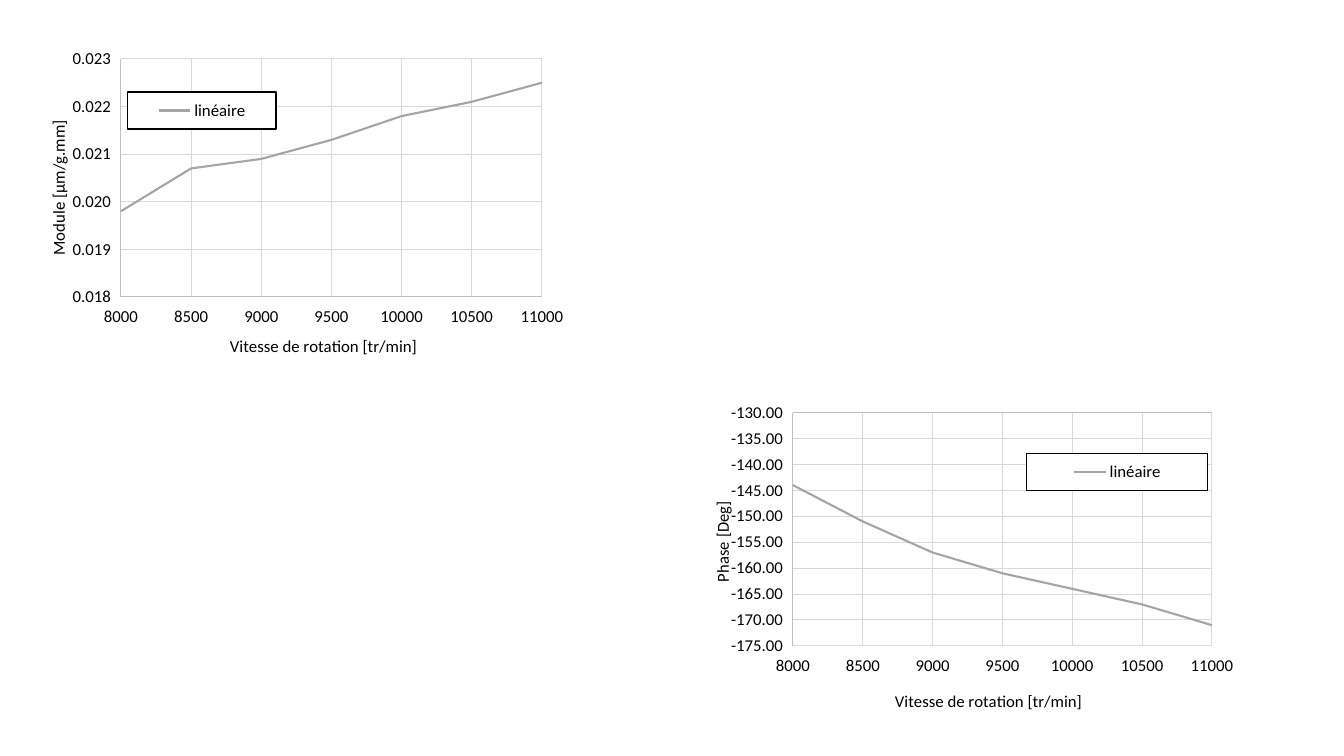
"""Builds a slide with two frequency response charts: module and phase."""
from lxml import etree
from pptx import Presentation
from pptx.chart.data import XyChartData
from pptx.dml.color import RGBColor
from pptx.enum.chart import XL_CHART_TYPE, XL_LEGEND_POSITION, XL_TICK_LABEL_POSITION, XL_TICK_MARK
from pptx.oxml import parse_xml
from pptx.oxml.ns import nsdecls, qn
from pptx.util import Emu, Pt

PX = 914400 / 100.8
COLORS = {"text": "000000", "axis": "BFBFBF", "grid": "D9D9D9", "curve": "A5A5A5", "legend": "FFFFFF"}
CHART_W, CHART_H = 545, 329
SPEEDS = range(8000, 11001, 500)


def place(part, index, left, top, width=None, height=None, inner=False):
    """Give a chart part a fixed place, in px from the chart's corner."""
    for old in part.findall(qn("c:layout")):
        part.remove(old)
    layout = parse_xml(f"<c:layout {nsdecls('c')}><c:manualLayout/></c:layout>")
    settings = {"layoutTarget": "inner"} if inner else {}
    settings |= {"xMode": "edge", "yMode": "edge", "x": left / CHART_W, "y": top / CHART_H}
    if width:
        settings |= {"w": width / CHART_W, "h": height / CHART_H}
    for tag, value in settings.items():
        etree.SubElement(layout[0], qn(f"c:{tag}")).set("val", str(value))
    part.insert(index, layout)


def paint(line, color, points):
    """Set the colour and width of a line."""
    line.color.rgb = RGBColor.from_string(COLORS[color])
    line.width = Pt(points)


responses = [
    {"at": (32, 35), "title": "Module [µm/g.mm]", "format": "0.000", "range": (0.018, 0.023, 0.001),
     "values": [0.0198, 0.0207, 0.0209, 0.0213, 0.0218, 0.0221, 0.0225],
     "plot": (89, 24, 421, 238), "legend": (96, 57, 148, 37),
     "speed_title": (195, 297), "value_title": (12, 82)},
    {"at": (703, 388), "title": "Phase [Deg]", "format": "0.00", "range": (-175, -130, 5),
     "values": [-144, -151, -157, -161, -164, -167, -171],
     "plot": (90, 25, 419, 237), "legend": (324, 67, 181, 37),
     "speed_title": (189, 304), "value_title": (5, 113)},
]

prs = Presentation()
prs.slide_width, prs.slide_height = Emu(round(1344 * PX)), Emu(round(756 * PX))
slide = prs.slides.add_slide(prs.slide_layouts[6])

for response in responses:
    data = XyChartData()
    linear = data.add_series("linéaire")
    for speed, value in zip(SPEEDS, response["values"]):
        linear.add_data_point(speed, value)
    frame = [Emu(round(n * PX)) for n in (*response["at"], CHART_W, CHART_H)]
    chart = slide.shapes.add_chart(XL_CHART_TYPE.XY_SCATTER_SMOOTH_NO_MARKERS, *frame, data).chart
    chart.has_title = False
    chart.font.name = "Calibri"
    chart.font.size = Pt(12)
    chart.font.color.rgb = RGBColor.from_string(COLORS["text"])
    chart.plots[0].vary_by_categories = False
    curve = chart.plots[0].series[0]
    curve.smooth = True
    paint(curve.format.line, "curve", 1.5)
    place(chart._chartSpace.chart.plotArea, 0, *response["plot"], inner=True)

    axes = [
        (chart.category_axis, "Vitesse de rotation [tr/min]", "General", (8000, 11000, 500), "speed_title"),
        (chart.value_axis, response["title"], response["format"], response["range"], "value_title"),
    ]
    for axis, title, number_format, (low, high, step), spot in axes:
        settings = {"minimum_scale": low, "maximum_scale": high, "major_unit": step,
                    "has_major_gridlines": True, "major_tick_mark": XL_TICK_MARK.NONE,
                    "minor_tick_mark": XL_TICK_MARK.NONE,
                    "tick_label_position": XL_TICK_LABEL_POSITION.LOW}
        for name, setting in settings.items():
            setattr(axis, name, setting)
        axis.tick_labels.number_format = number_format
        axis.tick_labels.number_format_is_linked = False
        paint(axis.format.line, "axis", 0.75)
        paint(axis.major_gridlines.format.line, "grid", 0.75)
        text = axis.axis_title.text_frame
        text.text = title
        font = text.paragraphs[0].runs[0].font
        font.name, font.size, font.bold = "Calibri", Pt(12), False
        font.color.rgb = RGBColor.from_string(COLORS["text"])
        if spot == "value_title":
            text._txBody.bodyPr.set("rot", "-5400000")
            text._txBody.bodyPr.set("vert", "horz")
        place(axis.axis_title._element, 1, *response[spot])

    chart.has_legend = True
    legend = chart.legend
    legend.position = XL_LEGEND_POSITION.RIGHT
    legend.include_in_layout = False
    legend.font.name = "Calibri"
    legend.font.size = Pt(12)
    legend.font.color.rgb = RGBColor.from_string(COLORS["text"])
    place(legend._element, 1, *response["legend"])
    legend._element.find(qn("c:overlay")).addnext(parse_xml(
        f"<c:spPr {nsdecls('c', 'a')}>"
        f'<a:solidFill><a:srgbClr val="{COLORS["legend"]}"/></a:solidFill>'
        f'<a:ln w="9525"><a:solidFill><a:srgbClr val="{COLORS["text"]}"/></a:solidFill></a:ln>'
        "</c:spPr>"))

prs.save("out.pptx")
